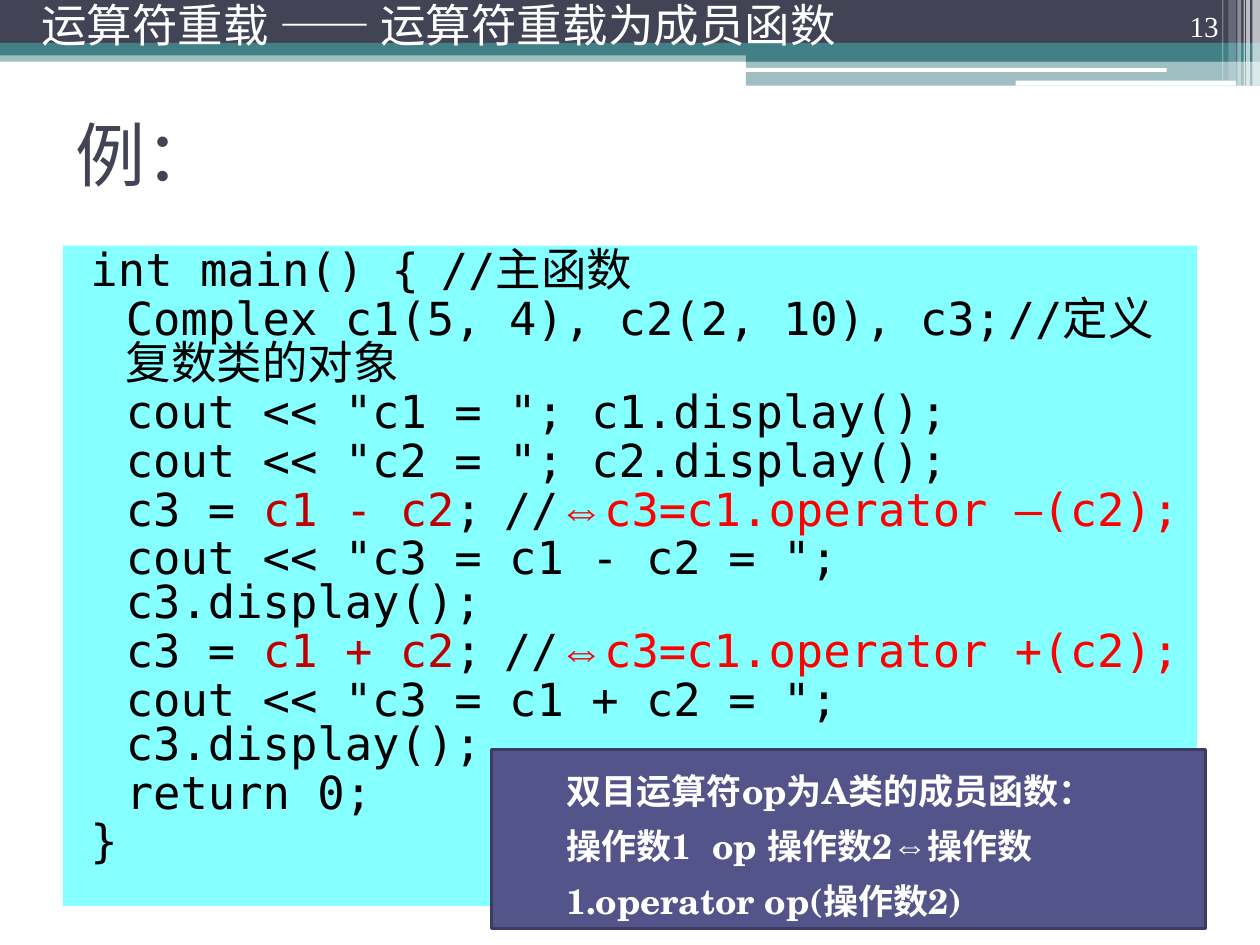
from lxml import etree
from pptx import Presentation
from pptx.dml.color import RGBColor
from pptx.enum.shapes import MSO_SHAPE
from pptx.enum.text import MSO_ANCHOR, PP_ALIGN
from pptx.oxml.ns import qn
from pptx.util import Inches, Pt

RECT, ROUNDED = MSO_SHAPE.RECTANGLE, MSO_SHAPE.ROUNDED_RECTANGLE
PROCESS = MSO_SHAPE.FLOWCHART_PROCESS
TOP, MIDDLE, BOTTOM = MSO_ANCHOR.TOP, MSO_ANCHOR.MIDDLE, MSO_ANCHOR.BOTTOM
LEFT, RIGHT = PP_ALIGN.LEFT, PP_ALIGN.RIGHT

SLATE, TEAL, WHITE, BLACK = "424456", "438086", "FFFFFF", "000000"
DARK_RED, RED, CYAN = "C00000", "FF0000", "85FFFF"
INDIGO, INDIGO_EDGE = "53548A", "3B3B64"
MONO, SERIF, SYMBOL = "DejaVu Sans Mono", "TeX Gyre Schola", "Arial"

prs = Presentation()
prs.slide_width, prs.slide_height = Inches(10), Inches(7.5)
slide = prs.slides.add_slide(prs.slide_layouts[6])

# Grid of 100 columns by 75 rows
COL, ROW = prs.slide_width / 100, prs.slide_height / 75


def add_block(preset, left, top, width, height, fill, opacity=100):
    block = slide.shapes.add_shape(
        preset, int(left * COL), int(top * ROW), int(width * COL), int(height * ROW))
    block.shadow.inherit = False
    block.fill.solid()
    block.fill.fore_color.rgb = RGBColor.from_string(fill)
    if opacity < 100:
        colour = block.fill._xPr.find(qn("a:solidFill"))[0]
        etree.SubElement(colour, qn("a:alpha"), val=str(opacity * 1000))
    block.line.fill.background()
    return block


def add_runs(paragraph, pieces, size, bold=False):
    """Append (text, font, colour) pieces to the paragraph."""
    for text, font, colour in pieces:
        run = paragraph.add_run()
        run.text = text
        run.font.size, run.font.name, run.font.bold = Pt(size), font, bold
        run.font.color.rgb = RGBColor.from_string(colour)


# Header bands, then the thin white stripes at the right edge
for band in [
    (RECT, 0, 4, 100, 0.9, TEAL, 50),
    (RECT, 0, 0, 100, 3.4, SLATE),
    (RECT, 0, 3.4, 100, 1, TEAL),
    (RECT, 59.2, 3.9, 40.8, 1, TEAL),
    (RECT, 59.2, 4.8, 40.8, 2, TEAL, 50),
    (ROUNDED, 59.1, 5.4, 33.5, 0.3, WHITE),
    (ROUNDED, 80.6, 6.4, 17.5, 0.4, WHITE),
]:
    add_block(*band)

for left, width, height, opacity in [
    (99.4, 0.6, 6.8, 65), (98.9, 0.3, 6.8, 65), (98.7, 0.1, 6.8, 60),
    (98.2, 0.3, 6.8, 40), (97.5, 0.6, 6.4, 20), (97, 0.1, 6.4, 30),
]:
    add_block(RECT, left, 0, width, height, WHITE, opacity)

# Example code
plain_lines = [
    "int main() {\t//主函数",
    "\tComplex c1(5, 4), c2(2, 10), c3;\t//定义复数类的对象",
    '\tcout << "c1 = "; c1.display();',
    '\tcout << "c2 = "; c2.display();',
]
code_lines = [[(line, MONO, BLACK)] for line in plain_lines]
for sign, operator in [("-", "–"), ("+", "+")]:
    code_lines.append([
        ("\tc3 = ", MONO, BLACK),
        (f"c1 {sign} c2", MONO, DARK_RED),
        (";\t//", MONO, BLACK),
        ("⇔", SYMBOL, RED),
        (f"c3=c1.operator {operator}(c2);", MONO, RED),
    ])
    code_lines.append([(f'\tcout << "c3 = c1 {sign} c2 = "; c3.display();', MONO, BLACK)])
code_lines += [[("\treturn 0;", MONO, BLACK)], [("}", MONO, BLACK)]]

code_frame = add_block(RECT, 5, 19.5, 90, 52.4, CYAN).text_frame
code_frame.word_wrap, code_frame.vertical_anchor = True, TOP
for number, pieces in enumerate(code_lines):
    line = code_frame.add_paragraph() if number else code_frame.paragraphs[0]
    props = line._p.get_or_add_pPr()
    props.set("marL", str(Inches(0.4)))
    props.set("indent", str(Inches(-0.28)))
    tabs = etree.SubElement(props, qn("a:tabLst"))
    for inch in range(8):
        etree.SubElement(tabs, qn("a:tab"), pos=str(Inches(inch)), algn="l")
    line.alignment, line.line_spacing = LEFT, 0.8
    if number:
        line.space_before = Pt(3)
    add_runs(line, pieces, 26)

# Title, page number and chapter heading
for text, left, top, width, height, anchor, align, spacing, size, font, colour in [
    ("例：", 5, 6.3, 90, 11.7, MIDDLE, LEFT, 1.0, 40, "Lato", SLATE),
    ("13", 89.4, 0, 8.3, 4, BOTTOM, RIGHT, 0.9, 16.6, "Times New Roman", WHITE),
    ("运算符重载 —— 运算符重载为成员函数", 2.3, 0, 83.6, 4.7, MIDDLE, LEFT, 0.8, 26, "Lato", WHITE),
]:
    caption = slide.shapes.add_textbox(
        int(left * COL), int(top * ROW), int(width * COL), int(height * ROW)).text_frame
    caption.word_wrap, caption.vertical_anchor = True, anchor
    paragraph = caption.paragraphs[0]
    paragraph.alignment, paragraph.line_spacing = align, spacing
    add_runs(paragraph, [(text, font, colour)], size)

# Rule for binary operators
rule = add_block(PROCESS, 39, 59.5, 56.7, 14.2, INDIGO)
rule.line.color.rgb = RGBColor.from_string(INDIGO_EDGE)
rule.line.width = Pt(1.5)
rule_frame = rule.text_frame
rule_frame.word_wrap, rule_frame.vertical_anchor = True, MIDDLE
rule_lines = [
    [("双目运算符op为A类的成员函数：", SERIF, WHITE)],
    [("操作数1  op 操作数2", SERIF, WHITE), ("⇔", SYMBOL, WHITE),
     ("操作数1.operator op(操作数2)", SERIF, WHITE)],
]
for number, pieces in enumerate(rule_lines):
    line = rule_frame.add_paragraph() if number else rule_frame.paragraphs[0]
    line.level = 1
    line._p.get_or_add_pPr().set("marL", str(Inches(0.5)))
    line.alignment, line.line_spacing = LEFT, 1.3
    add_runs(line, pieces, 20, bold=True)

prs.save("out.pptx")
